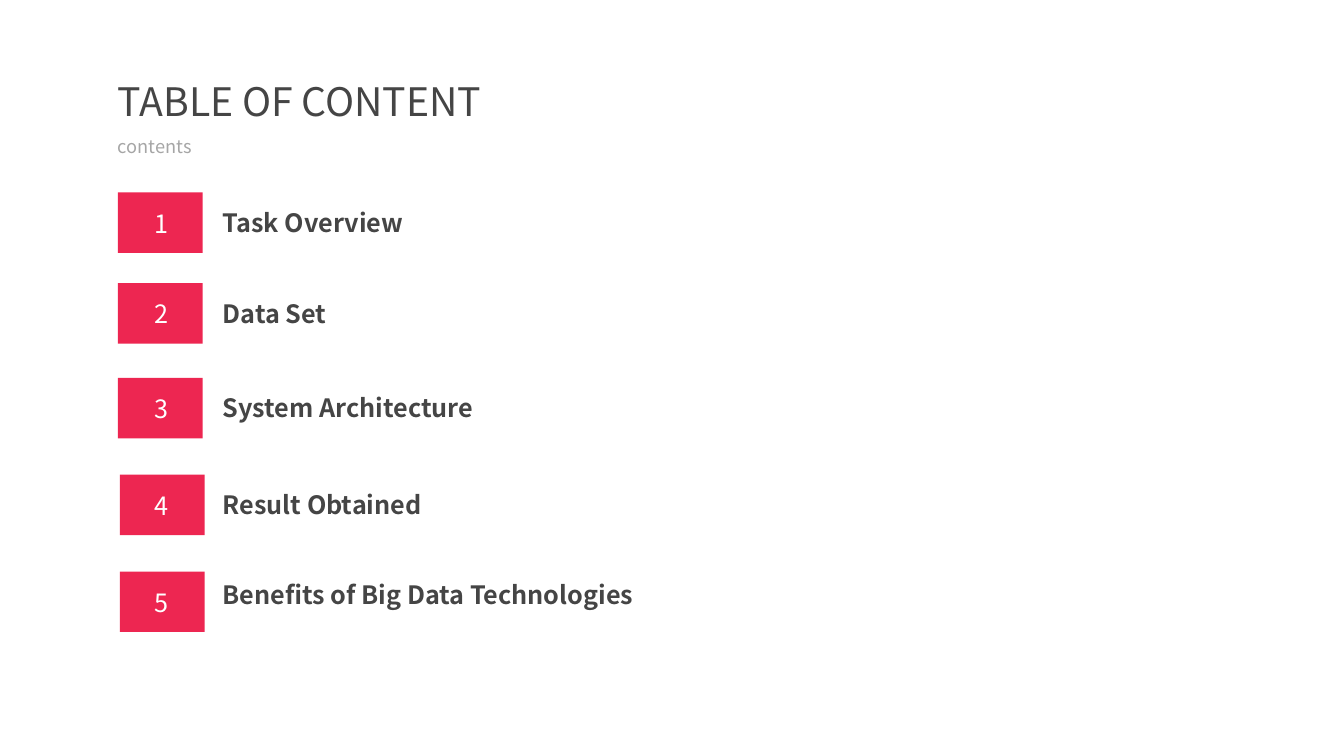
"""Build the table of content slide with five numbered entries."""
from pptx import Presentation
from pptx.dml.color import RGBColor
from pptx.enum.shapes import MSO_SHAPE
from pptx.enum.text import MSO_ANCHOR, PP_ALIGN
from pptx.util import Inches, Pt

RECT = MSO_SHAPE.RECTANGLE
TOP, MIDDLE = MSO_ANCHOR.TOP, MSO_ANCHOR.MIDDLE
LEFT, CENTER = PP_ALIGN.LEFT, PP_ALIGN.CENTER
FONT = "Noto Sans CJK SC"
DARK, GRAY, WHITE, RED = "454545", "A6A6A6", "FFFFFF", "ED2651"


def rgb(color):
    return RGBColor.from_string(color)


def add_text(text, x, y, w, h, size, color, bold=False, align=LEFT,
             anchor=TOP, spacing=0.9, before=10):
    tf = s.shapes.add_textbox(Inches(x), Inches(y), Inches(w), Inches(h)).text_frame
    tf.word_wrap = True
    tf.vertical_anchor = anchor
    tf.margin_left = tf.margin_right = 0
    p = tf.paragraphs[0]
    p.text = text
    p.alignment = align
    p.line_spacing = spacing
    p.space_before = Pt(before)
    p.font.name = FONT
    p.font.size = Pt(size)
    p.font.bold = bold
    p.font.color.rgb = rgb(color)


prs = Presentation()
prs.slide_width, prs.slide_height = Inches(13.33), Inches(7.5)
s = prs.slides.add_slide(prs.slide_layouts[6])

add_text("TABLE OF CONTENT", 1.17, 0.75, 8.5, 0.55, 28, DARK, anchor=MIDDLE, before=0)
add_text("contents", 1.17, 1.33, 7.16, 0.29, 13, GRAY, spacing=0.8)

entries = [
    ("Task Overview", 1.17, 1.91, 2.04, 2.05),
    ("Data Set", 1.17, 2.81, 2.94, 2.94),
    ("System Architecture", 1.17, 3.75, 3.88, 3.89),
    ("Result Obtained", 1.19, 4.71, 4.84, 4.85),
    ("Benefits of Big Data Technologies", 1.19, 5.67, 5.73, 5.81),
]
for number, (label, box_x, box_y, label_y, number_y) in enumerate(entries, 1):
    sp = s.shapes.add_shape(RECT, Inches(box_x), Inches(box_y), Inches(0.84), Inches(0.6))
    sp.shadow.inherit = False
    sp.fill.solid()
    sp.fill.fore_color.rgb = rgb(RED)
    sp.line.fill.background()
    add_text(label, 2.21, label_y, 6.1, 0.45, 18, DARK, bold=True)
    add_text(str(number), 1.17, number_y, 0.86, 0.49, 18, WHITE, align=CENTER)

prs.save("out.pptx")
